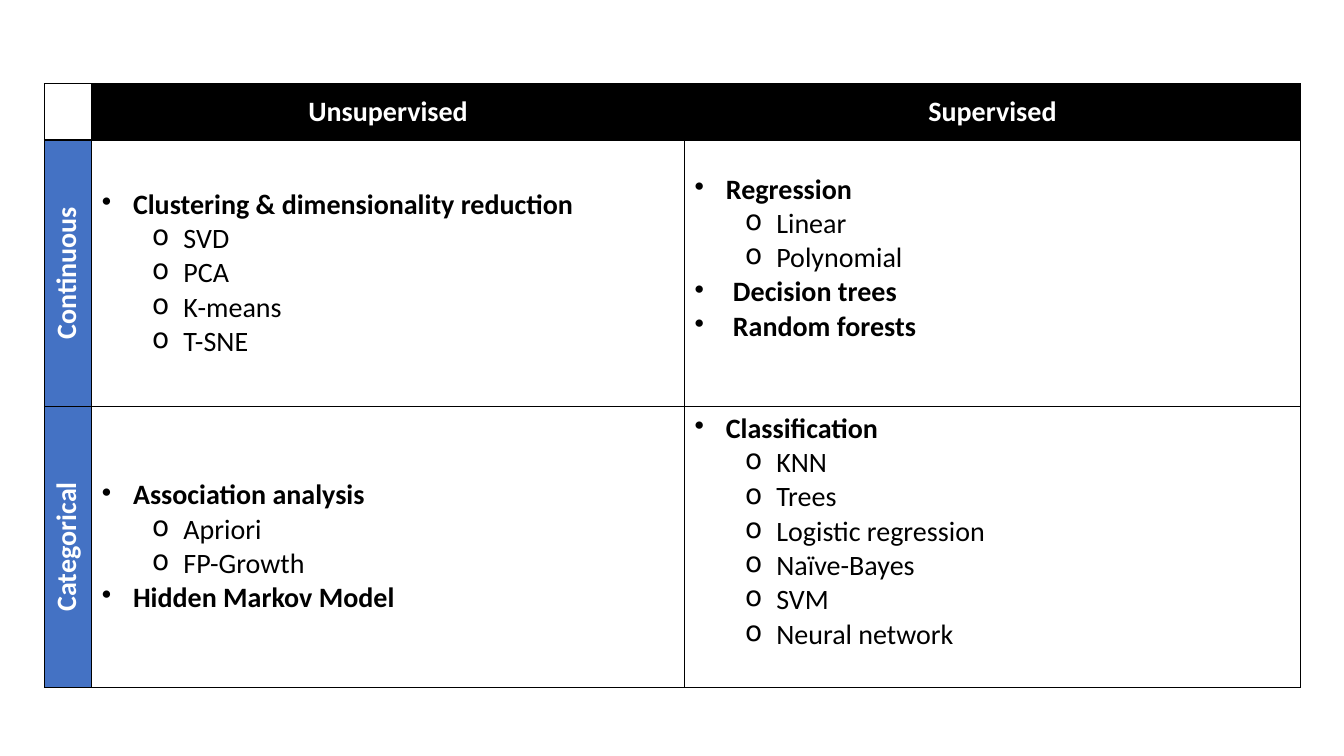
from pptx import Presentation
from pptx.dml.color import RGBColor
from pptx.enum.text import MSO_ANCHOR, PP_ALIGN
from pptx.oxml.xmlchemy import OxmlElement
from pptx.util import Inches, Pt

HEADS = ["Unsupervised", "Supervised"]
SIDES = ["Continuous", "Categorical"]
LISTS = [
    [
        [("Clustering & dimensionality reduction", 0.31,
          ["SVD", "PCA", "K-means", "T-SNE"])],
        [("Regression", 0.31, ["Linear", "Polynomial"]),
         ("Decision trees", 0.38, []),
         ("Random forests", 0.38, [])],
    ],
    [
        [("Association analysis", 0.31, ["Apriori", "FP-Growth"]),
         ("Hidden Markov Model", 0.31, [])],
        [("Classification", 0.31,
          ["KNN", "Trees", "Logistic regression", "Naïve-Bayes", "SVM",
           "Neural network"])],
    ],
]
WIDTHS = [0.47, 5.88, 6.11]
HEIGHTS = [0.56, 2.64, 2.79]
LOW_GAPS = [0.05, 0.35]
LEFT, TOP = 0.44, 0.83

BLACK = RGBColor(0, 0, 0)
WHITE = RGBColor(255, 255, 255)
BLUE = RGBColor(0x44, 0x72, 0xC4)


def style(para, color, bold):
    font = para.font
    font.name = "Calibri"
    font.size = Pt(20)
    font.bold = bold
    font.color.rgb = color


def label(cell, text, color):
    cell.fill.solid()
    cell.fill.fore_color.rgb = color
    para = cell.text_frame.paragraphs[0]
    para.text = text
    para.alignment = PP_ALIGN.CENTER
    style(para, WHITE, True)


def bullet(para, text, level, left, hang, mark):
    para.text = text
    para.level = level
    props = para._p.get_or_add_pPr()
    props.set("marL", str(Inches(left)))
    props.set("indent", str(-Inches(hang)))
    char = OxmlElement("a:buChar")
    char.set("char", mark)
    props.append(char)
    style(para, BLACK, level == 0)


def fill_list(cell, groups):
    rows = []
    for head, hang, items in groups:
        rows.append((head, 0, hang, hang, "•"))
        rows += [(item, 1, 0.81, 0.31, "o") for item in items]
    frame = cell.text_frame
    for i, row in enumerate(rows):
        para = frame.add_paragraph() if i else frame.paragraphs[0]
        bullet(para, *row)


def border(cell):
    props = cell._tc.get_or_add_tcPr()
    for i, side in enumerate(["lnL", "lnR", "lnT", "lnB"]):
        line = OxmlElement("a:" + side)
        line.set("w", str(Pt(1)))
        fill = OxmlElement("a:solidFill")
        color = OxmlElement("a:srgbClr")
        color.set("val", str(BLACK))
        fill.append(color)
        line.append(fill)
        props.insert(i, line)


deck = Presentation()
deck.slide_width, deck.slide_height = Inches(13.33), Inches(7.5)
slide = deck.slides.add_slide(deck.slide_layouts[6])
table = slide.shapes.add_table(
    len(HEIGHTS), len(WIDTHS), Inches(LEFT), Inches(TOP),
    Inches(sum(WIDTHS)), Inches(sum(HEIGHTS))).table
table.first_row = False
table.horz_banding = False
for col, width in zip(table.columns, WIDTHS):
    col.width = Inches(width)
for row, height in zip(table.rows, HEIGHTS):
    row.height = Inches(height)

for cell in table.iter_cells():
    cell.fill.background()
    cell.vertical_anchor = MSO_ANCHOR.MIDDLE
    border(cell)
for c, head in enumerate(HEADS, 1):
    label(table.cell(0, c), head, BLACK)
for r, side in enumerate(SIDES, 1):
    cell = table.cell(r, 0)
    label(cell, side, BLUE)
    cell._tc.get_or_add_tcPr().set("vert", "vert270")
    for c, groups in enumerate(LISTS[r - 1], 1):
        cell = table.cell(r, c)
        cell.margin_bottom = Inches(LOW_GAPS[c - 1])
        fill_list(cell, groups)

deck.save("out.pptx")
